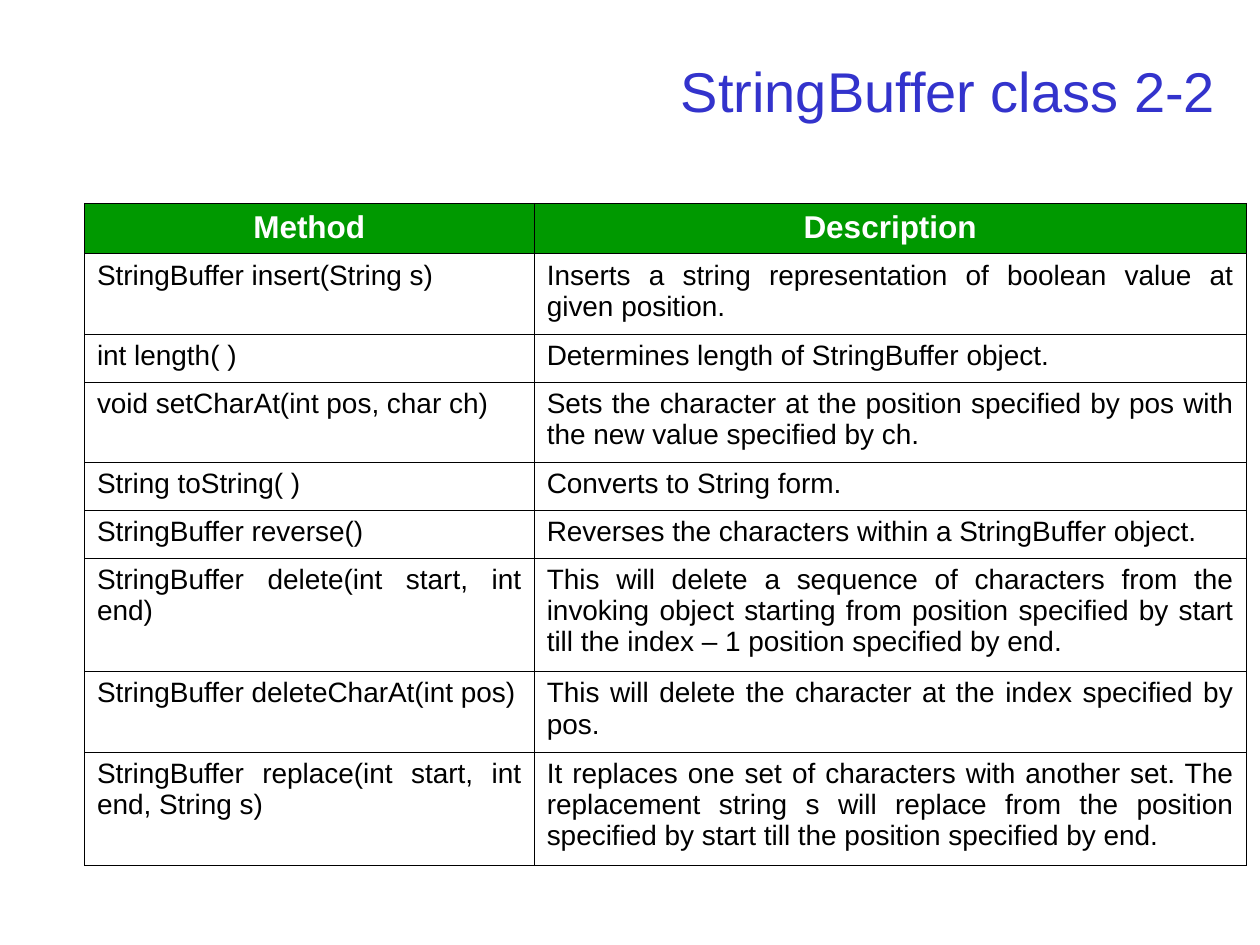
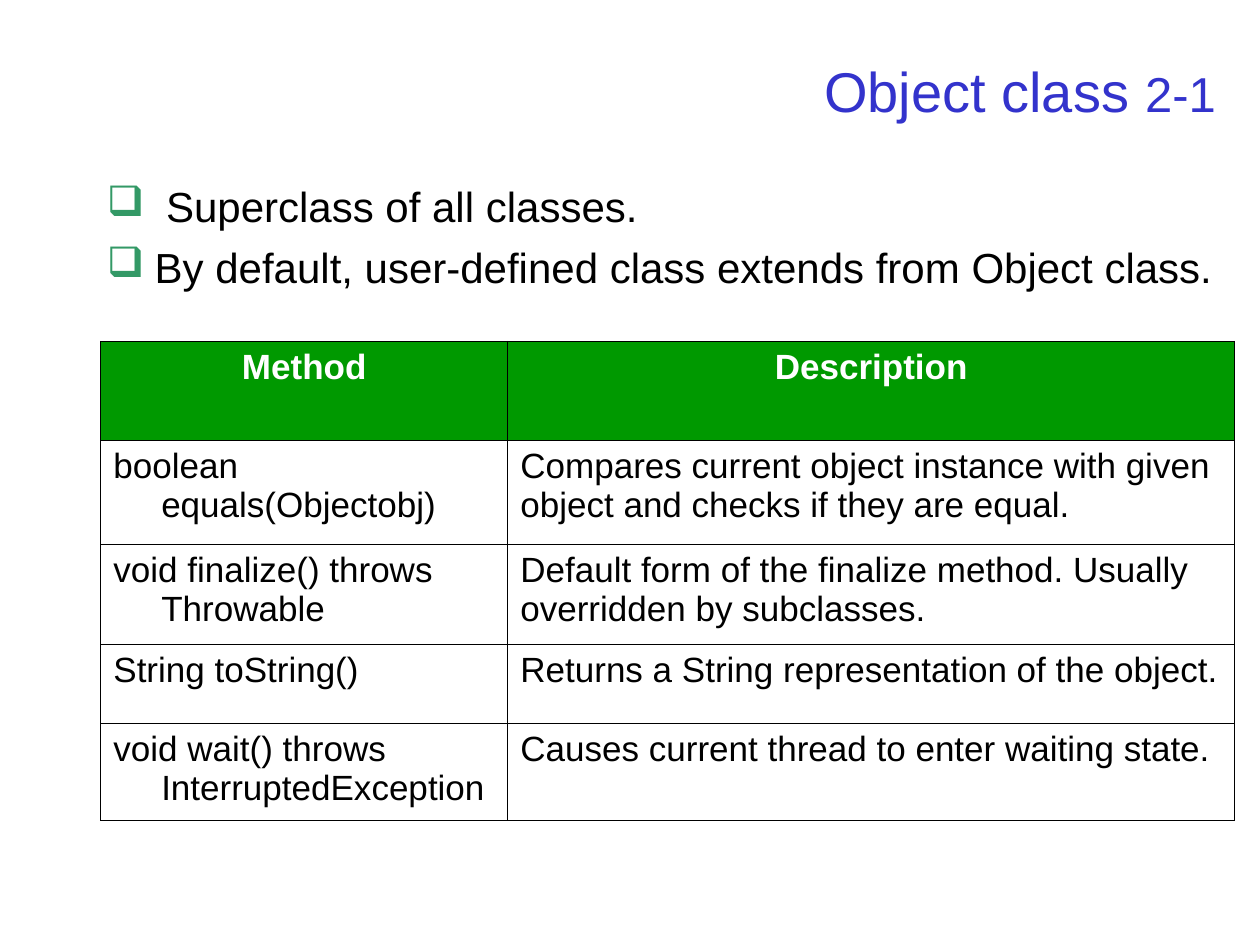
from lxml.etree import SubElement
from pptx import Presentation
from pptx.dml.color import RGBColor
from pptx.enum.text import MSO_ANCHOR, PP_ALIGN
from pptx.oxml.ns import qn
from pptx.util import Inches, Pt

COLORS = {"title": "3333CC", "header": "009900", "header_text": "FFFFFF",
          "text": "000000", "border": "000000", "bullet": "339966"}
FONT = "Arial"
W, H = Inches(10), Inches(7.5)
HANG = Inches(0.38)
TITLE_BOX = (0.075, 0.037, 0.9, 0.116)  # left, top, width, height as shares

STRING_BUFFER_ROWS = [
    ("Method", "Description"),
    ("StringBuffer insert(String s)",
     "Inserts a string representation of boolean value at given position."),
    ("int length( )", "Determines length of StringBuffer object."),
    ("void setCharAt(int pos, char ch)",
     "Sets the character at the position specified by pos with the new value specified by ch."),
    ("String toString( )", "Converts to String form."),
    ("StringBuffer reverse()", "Reverses the characters within a StringBuffer object."),
    ("StringBuffer delete(int start, int end)",
     "This will delete a sequence of characters from the invoking object starting from "
     "position specified by start till the index – 1 position specified by end."),
    ("StringBuffer deleteCharAt(int pos)",
     "This will delete the character at the index specified by pos."),
    ("StringBuffer replace(int start, int end, String s)",
     "It replaces one set of characters with another set. The replacement string s will "
     "replace from the position specified by start till the position specified by end."),
]
OBJECT_ROWS = [
    ("Method", "Description"),
    ("boolean equals(Objectobj)",
     "Compares current object instance with given\nobject and checks if they are equal."),
    ("void finalize() throws Throwable",
     "Default form of the finalize method. Usually\noverridden by subclasses."),
    ("String toString()", "Returns a String representation of the object."),
    ("void wait() throws InterruptedException",
     "Causes current thread to enter waiting state."),
]


def to_slide(box):
    """Turn shares of the slide into lengths."""
    return [int(share * side) for share, side in zip(box, (W, H, W, H))]


def style_runs(p, size, color, bold=False):
    for r in p.runs:
        r.font.name = FONT
        r.font.size = Pt(size)
        r.font.bold = bold
        r.font.color.rgb = RGBColor.from_string(COLORS[color])


def set_indent(p, hang):
    pPr = p._p.get_or_add_pPr()
    pPr.set("marL", str(hang))
    pPr.set("indent", str(-hang))
    return pPr


def add_titled_slide(prs, name, number, number_size=32):
    s = prs.slides.add_slide(prs.slide_layouts[5])
    title = s.shapes.title
    title.left, title.top, title.width, title.height = to_slide(TITLE_BOX)
    tf = title.text_frame
    tf.vertical_anchor = MSO_ANCHOR.MIDDLE
    p = tf.paragraphs[0]
    p.alignment = PP_ALIGN.RIGHT
    for text in (name + " ", number):
        p.add_run().text = text
    style_runs(p, 32, "title")
    p.runs[1].font.size = Pt(number_size)
    return s


def add_borders(cell):
    tcPr = cell._tc.get_or_add_tcPr()
    for side in ("a:lnL", "a:lnR", "a:lnT", "a:lnB"):
        ln = SubElement(tcPr, qn(side), w=str(Pt(0.45)))
        fill = SubElement(ln, qn("a:solidFill"))
        SubElement(fill, qn("a:srgbClr"), val=COLORS["border"])


def fill_cell(cell, text, header, size, alignment, hang):
    add_borders(cell)
    if header:
        cell.fill.solid()
        cell.fill.fore_color.rgb = RGBColor.from_string(COLORS["header"])
    else:
        cell.fill.background()
    cell.text_frame.text = text
    for p in cell.text_frame.paragraphs:
        p.alignment = PP_ALIGN.CENTER if header else alignment
        set_indent(p, hang)
        style_runs(p, size, "header_text" if header else "text", header)


def add_method_table(s, box, rows, col_weights, row_weights,
                     header_size, size, alignment, hang=0):
    left, top, width, height = to_slide(box)
    table = s.shapes.add_table(len(rows), len(col_weights), left, top, width, height).table
    table.first_row = table.horz_banding = False
    # Share the box out by weight
    for column, weight in zip(table.columns, col_weights):
        column.width = int(width * weight / sum(col_weights))
    for row, weight in zip(table.rows, row_weights):
        row.height = int(height * weight / sum(row_weights))
    for i, texts in enumerate(rows):
        for j, text in enumerate(texts):
            fill_cell(table.cell(i, j), text, i == 0,
                      header_size if i == 0 else size, alignment, hang)


def add_bullets(s, box, items):
    tf = s.shapes.add_textbox(*to_slide(box)).text_frame
    tf.word_wrap = True
    for i, (text, hang) in enumerate(items):
        p = tf.add_paragraph() if i else tf.paragraphs[0]
        p.text = text
        if i:
            p.space_before = Pt(6)
        pPr = set_indent(p, hang)
        color = SubElement(pPr, qn("a:buClr"))
        SubElement(color, qn("a:srgbClr"), val=COLORS["bullet"])
        SubElement(pPr, qn("a:buChar"), char="❑")
        style_runs(p, 24, "text")


def string_buffer_slide(prs):
    s = add_titled_slide(prs, "StringBuffer class", "2-2")
    add_method_table(s, (0.067, 0.215, 0.922, 0.701), STRING_BUFFER_ROWS,
                     (3.57, 5.65), (0.4, 0.64, 0.38, 0.64, 0.38, 0.38, 0.9, 0.64, 0.9),
                     18, 16, PP_ALIGN.JUSTIFY)


def object_slide(prs):
    s = add_titled_slide(prs, "Object class", "2-1", number_size=28)
    add_method_table(s, (0.08, 0.361, 0.9, 0.507), OBJECT_ROWS,
                     (3.23, 5.77), (0.79, 0.83, 0.79, 0.63, 0.77),
                     20, 20, PP_ALIGN.LEFT, HANG)
    # The first point sits a little further from its bullet
    add_bullets(s, (0.075, 0.185, 0.9, 0.147), [
        ("Superclass of all classes.", HANG + Inches(0.09)),
        ("By default, user-defined class extends from Object class.", HANG),
    ])


def main():
    prs = Presentation()
    prs.slide_width, prs.slide_height = W, H
    string_buffer_slide(prs)
    object_slide(prs)
    prs.save("out.pptx")


if __name__ == "__main__":
    main()
